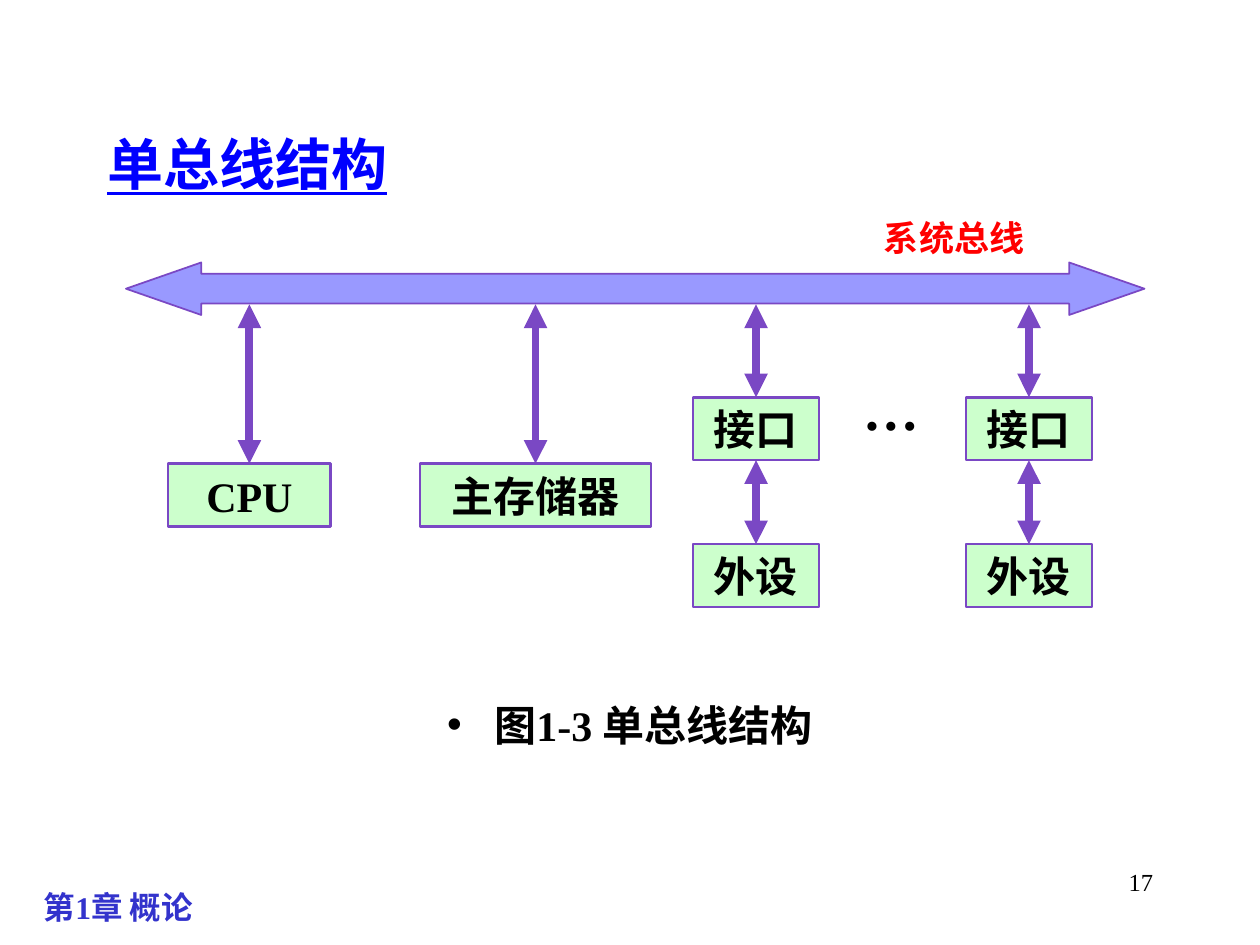
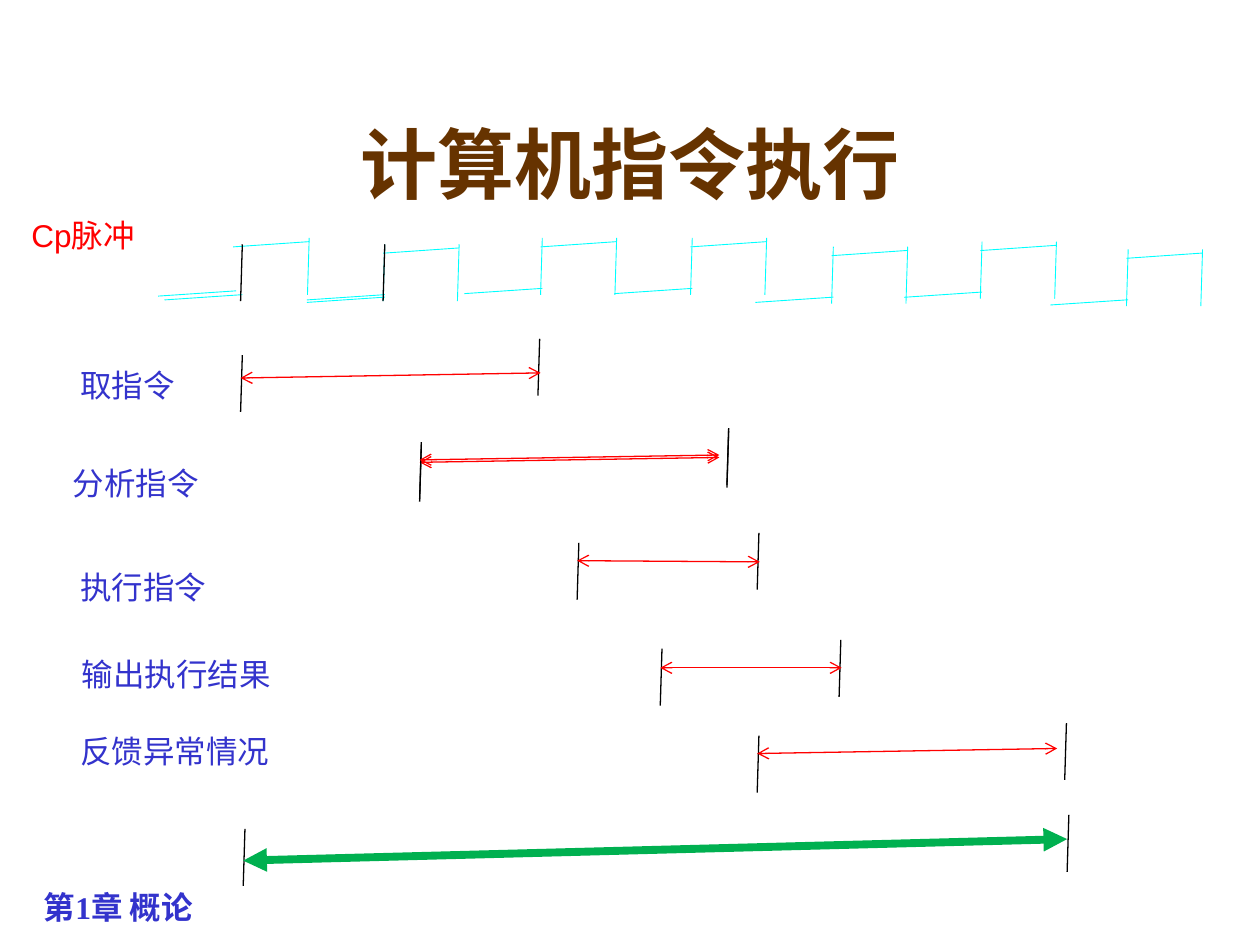
from dataclasses import dataclass

from lxml.etree import SubElement
from pptx import Presentation
from pptx.dml.color import RGBColor
from pptx.enum.shapes import MSO_CONNECTOR as Connector, MSO_SHAPE as Shape
from pptx.enum.text import MSO_ANCHOR as Anchor, MSO_AUTO_SIZE as AutoSize, PP_ALIGN as Align
from pptx.oxml.ns import qn
from pptx.util import Pt


@dataclass(frozen=True)
class Theme:
    serif: str = "Times New Roman"
    sans: str = "Arial"
    chinese: str = "Noto Sans CJK SC"
    black: str = "000000"
    indigo: str = "3333CC"
    blue: str = "0000FF"
    brown: str = "663300"
    red: str = "FF0000"
    green: str = "00B050"
    cyan: str = "00FFFF"
    violet: str = "7A48C4"
    bus_fill: str = "9999FF"
    unit_fill: str = "CCFFCC"
    heading: int = 44
    subheading: int = 32
    diagram: int = 24
    bus_label: int = 20
    label: int = 18
    page: int = 14
    pulse_line: float = 0.5
    tick_line: float = 0.75
    bold_line: float = 4.5


THEME = Theme()
TITLE_AREA = (54, 48, 612, 90)
BODY_AREA = (54, 396, 612, 84)
BUS_BOTTOM = 174
UNIT_HEIGHT = 36
EDGE_LEAN, EDGE_HEIGHT = 1, 32.5
PULSE_WIDTH = 43.5

# x and y of the foot of each rising edge
PULSES = [(218.9, 172.1), (308.9, 168.5), (394.6, 168.5),
          (475.2, 173.5), (560.2, 170.6), (643.7, 175)]

# label, label area, feet of the two ticks, ends of the arrow
PHASES = [
    ("取指令", (38.9, 205.9, 80, 28.8),
     [(137.5, 235.4), (307.4, 226.1)], [(137.5, 216), (308.9, 213.1)]),
    ("分析指令", (34.6, 261.4, 136.8, 28.8),
     [(239.8, 286.6), (415.4, 278.6)], [(239.8, 264.2), (411.1, 261.4)]),
    ("执行指令", (38.9, 321.1, 136.8, 28.8),
     [(329.8, 342.7), (432.7, 337)], [(329.8, 320.4), (434.2, 321.1)]),
    ("输出执行结果", (39.6, 370.8, 136.8, 28.8),
     [(377.3, 403.2), (479.5, 398.2)], [(377.3, 381.6), (481, 381.6)]),
    ("反馈异常情况", (38.9, 414.7, 136.8, 28.8),
     [(432.7, 452.9), (608.4, 445.7)], [(432.7, 430.6), (604.1, 427.7)]),
]


def rgb(color):
    return RGBColor.from_string(color)


def points(*lengths):
    return [Pt(length) for length in lengths]


def write(frame, text, size, color, face=THEME.serif, bold=False,
          align=Align.LEFT, underline=None):
    frame.text = text
    paragraph = frame.paragraphs[0]
    paragraph.alignment = align
    font = paragraph.font
    font.name, font.size, font.bold, font.underline = face, Pt(size), bold, underline
    font.color.rgb = rgb(color)
    defaults = paragraph._p.pPr.find(qn("a:defRPr"))
    SubElement(defaults, qn("a:ea")).set("typeface", THEME.chinese)


def place(placeholder, area):
    (placeholder.left, placeholder.top,
     placeholder.width, placeholder.height) = points(*area)
    placeholder.text_frame.auto_size = AutoSize.NONE
    return placeholder.text_frame


def add_title(slide, text, size, color, **style):
    frame = place(slide.shapes.title, TITLE_AREA)
    frame.vertical_anchor = Anchor.MIDDLE
    write(frame, text, size, color, bold=True, **style)


def add_caption(slide, text):
    frame = place(slide.placeholders[1], BODY_AREA)
    properties = frame.paragraphs[0]._p.get_or_add_pPr()
    properties.set("marL", "0")
    properties.set("indent", "0")
    SubElement(properties, qn("a:buNone"))
    frame.paragraphs[0].space_before = Pt(0)
    write(frame, text, THEME.diagram, THEME.black, bold=True, align=Align.CENTER)


def add_text(slide, text, area, size, color, wrap=True, anchor=Anchor.TOP, **style):
    frame = slide.shapes.add_textbox(*points(*area)).text_frame
    frame.word_wrap = wrap
    frame.vertical_anchor = anchor
    write(frame, text, size, color, **style)


def add_footer(slide):
    add_text(slide, "第1章 概论", (18, 504, 420, 18), THEME.label, THEME.indigo, bold=True)


def add_block(slide, kind, area, fill, line_width):
    block = slide.shapes.add_shape(kind, *points(*area))
    block.shadow.inherit = False
    block.fill.solid()
    block.fill.fore_color.rgb = rgb(fill)
    block.line.color.rgb = rgb(THEME.violet)
    block.line.width = Pt(line_width)
    return block


def add_unit(slide, text, left, top, width):
    unit = add_block(slide, Shape.RECTANGLE, (left, top, width, UNIT_HEIGHT),
                     THEME.unit_fill, 1.5)
    unit.text_frame.vertical_anchor = Anchor.MIDDLE
    write(unit.text_frame, text, THEME.diagram, THEME.black, bold=True, align=Align.CENTER)
    return unit


def add_line(slide, start, end, color, width, arrowhead=None):
    line = slide.shapes.add_connector(Connector.STRAIGHT, *points(*start, *end))
    line.line.color.rgb = rgb(color)
    line.line.width = Pt(width)
    if arrowhead:
        outline = line.line._get_or_add_ln()
        for end_tag in ("a:headEnd", "a:tailEnd"):
            SubElement(outline, qn(end_tag)).set("type", arrowhead)
    SubElement(line._element.spPr, qn("a:effectLst"))
    return line


def link_to_bus(slide, unit):
    center = (unit.left + unit.width / 2) / Pt(1)
    link = add_line(slide, (center, unit.top / Pt(1)), (center, BUS_BOTTOM),
                    THEME.violet, THEME.bold_line, "triangle")
    link.begin_connect(unit, 0)


def link_units(slide, upper, lower):
    link = add_line(slide, (0, 0), (0, 0), THEME.violet, THEME.bold_line, "triangle")
    link.begin_connect(upper, 2)
    link.end_connect(lower, 0)


def add_edge(slide, foot, color=THEME.black, width=THEME.tick_line):
    x, y = foot
    add_line(slide, foot, (x + EDGE_LEAN, y - EDGE_HEIGHT), color, width)


def add_low(slide, x, y):
    add_line(slide, (x - PULSE_WIDTH, y - 0.7), (x + EDGE_LEAN, y - 3.7),
             THEME.cyan, THEME.pulse_line)


def add_high(slide, x, y):
    add_line(slide, (x, y - 27.4), (x + PULSE_WIDTH, y - 30.4),
             THEME.cyan, THEME.pulse_line)
    add_edge(slide, (x + PULSE_WIDTH - EDGE_LEAN, y), THEME.cyan, THEME.pulse_line)


def add_pulse(slide, x, y):
    add_low(slide, x, y)
    add_edge(slide, (x, y), THEME.cyan, THEME.pulse_line)
    add_high(slide, x, y)


def add_span(slide, ticks, ends, color=THEME.red, width=THEME.tick_line, arrowhead="arrow"):
    for foot in ticks:
        add_edge(slide, foot)
    add_line(slide, *ends, color, width, arrowhead)


def build_bus_slide(prs):
    slide = prs.slides.add_slide(prs.slide_layouts[1])
    add_title(slide, "单总线结构", THEME.subheading, THEME.blue,
              face=THEME.chinese, underline=True)
    add_caption(slide, "图1-3 单总线结构")
    add_footer(slide)
    add_text(slide, "17", (516, 492, 150, 36), THEME.page, THEME.black, align=Align.RIGHT)

    bus = add_block(slide, Shape.LEFT_RIGHT_ARROW, (72, 150, 582, 30), THEME.bus_fill, 1)
    bus.adjustments[0], bus.adjustments[1] = 0.567, 1.434
    add_text(slide, "系统总线", (498, 120, 94.5, 31.5), THEME.bus_label, THEME.red,
             wrap=False, anchor=Anchor.MIDDLE, bold=True, align=Align.CENTER)

    for text, left, width in (("CPU", 96, 93), ("主存储器", 240, 132)):
        link_to_bus(slide, add_unit(slide, text, left, 265, width))
    for left in (396, 552):
        interface = add_unit(slide, "接口", left, 227, 72)
        peripheral = add_unit(slide, "外设", left, 311, 72)
        link_to_bus(slide, interface)
        link_units(slide, interface, peripheral)
    add_text(slide, "…", (486, 210, 46, 46), THEME.subheading, THEME.black,
             wrap=False, anchor=Anchor.MIDDLE, bold=True, align=Align.CENTER)


def build_timing_slide(prs):
    slide = prs.slides.add_slide(prs.slide_layouts[5])
    add_title(slide, "计算机指令执行", THEME.heading, THEME.brown, align=Align.CENTER)
    add_footer(slide)
    add_text(slide, "Cp脉冲", (10.8, 120.2, 107.3, 28.8), THEME.label, THEME.red,
             face=THEME.sans)

    for x, y in ((133.9, 169.9), (137.5, 172.1), (218.9, 173.5)):
        add_low(slide, x, y)
    add_high(slide, 133.2, 168.5)
    for x, y in PULSES:
        add_pulse(slide, x, y)
    for foot in ((137.5, 172.1), PULSES[0]):
        add_edge(slide, foot)

    for text, area, ticks, ends in PHASES:
        add_text(slide, text, area, THEME.label, THEME.indigo, face=THEME.sans)
        add_span(slide, ticks, ends)
    _, _, ticks, ends = PHASES[1]
    add_span(slide, *([(x, y - 1.4) for x, y in row] for row in (ticks, ends)))
    add_span(slide, [(139, 506.2), (609.8, 498.2)], [(139, 491.8), (609.8, 479.5)],
             THEME.green, THEME.bold_line, "triangle")


def main():
    prs = Presentation()
    prs.slide_width, prs.slide_height = points(720, 540)
    build_bus_slide(prs)
    build_timing_slide(prs)
    prs.save("out.pptx")


if __name__ == "__main__":
    main()
